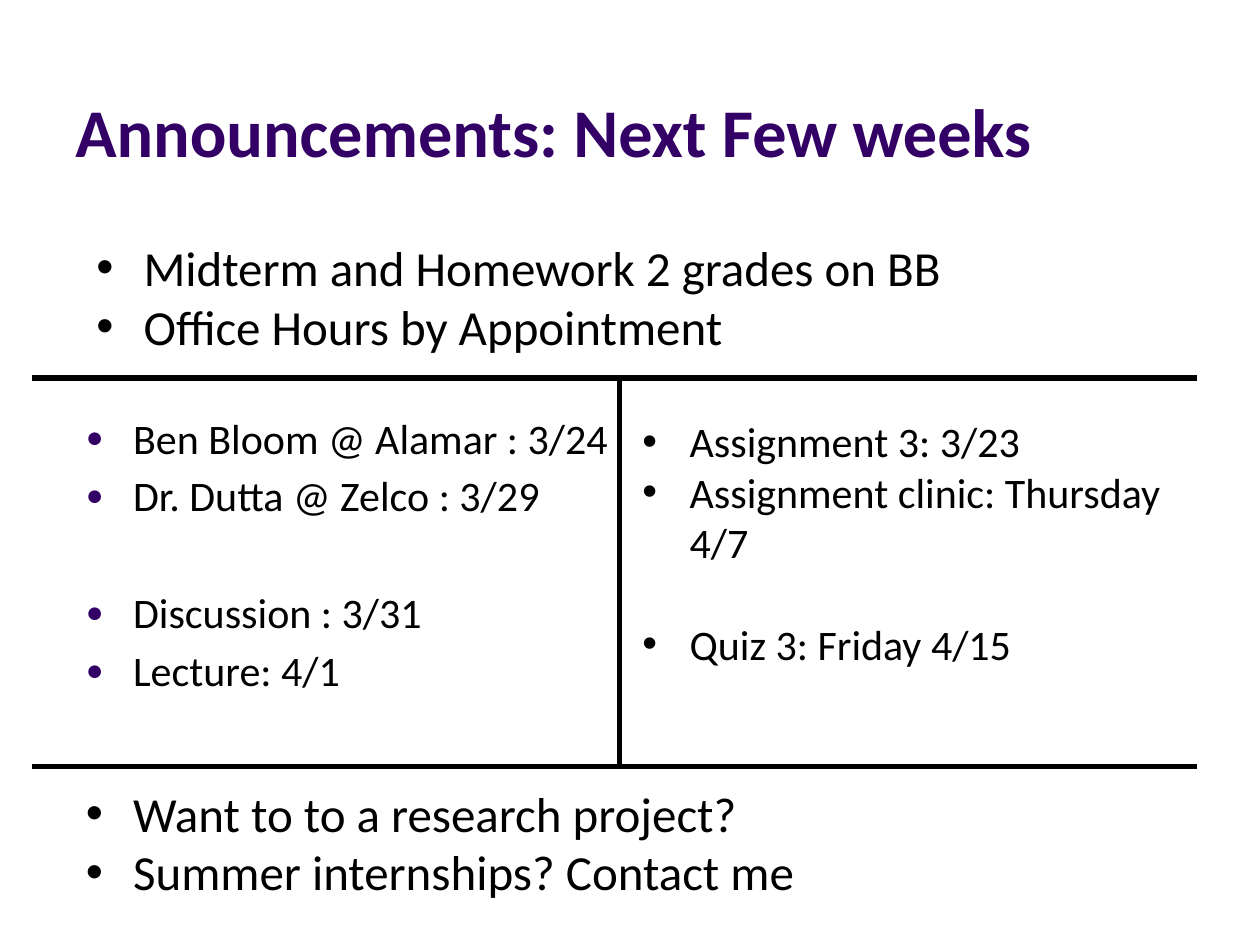
import dataclasses

import lxml.etree
import pptx
import pptx.dml.color
import pptx.enum.shapes
import pptx.enum.text
import pptx.oxml.ns
import pptx.util

UNIT = pptx.util.Inches(1 / 12)  # grid of 120 columns by 90 rows


@dataclasses.dataclass(frozen=True)
class Theme:
    face: str = "Calibri"
    ink: str = "000000"
    accent: str = "330066"
    title: int = 39
    lead: int = 28
    body: int = 24
    rule: int = 3
    indent: float = 0.375


THEME = Theme()
ROUND = {"char": "•"}
DISC = {"char": "●", "size": 70, "color": THEME.accent}


def grid(*cells):
    return [round(cell * UNIT) for cell in cells]


def tint(code):
    return pptx.dml.color.RGBColor.from_string(code)


def apply(target, values):
    for name, value in values.items():
        setattr(target, name, value)


def add_node(parent, tag, **values):
    node = lxml.etree.SubElement(parent, pptx.oxml.ns.qn(tag))
    for name, value in values.items():
        node.set(name, str(value))
    return node


def add_mark(para, char, size=None, color=None):
    """Give a paragraph a bullet with a hanging indent."""
    props = para._p.get_or_add_pPr()
    hang = pptx.util.Inches(THEME.indent)
    props.set("marL", str(hang))
    props.set("indent", str(-hang))
    if color:
        add_node(add_node(props, "a:buClr"), "a:srgbClr", val=color)
    if size:
        add_node(props, "a:buSzPct", val=size * 1000)
    add_node(props, "a:buFont", typeface="Arial")
    add_node(props, "a:buChar", char=char)


def add_text(slide, cells, lines, size, mark=None, gaps=(), font=None, **frame):
    """Write one paragraph per line; gaps are the points before each later line."""
    box = slide.shapes.add_textbox(*grid(*cells)).text_frame
    apply(box, {"word_wrap": True, **frame})
    look = {"name": THEME.face, "size": pptx.util.Pt(size), **(font or {})}
    for index, line in enumerate(lines):
        para = box.add_paragraph() if index else box.paragraphs[0]
        if mark:
            add_mark(para, **mark)
        if index and gaps:
            para.space_before = pptx.util.Pt(gaps[index - 1])
        run = para.add_run()
        run.text = line
        apply(run.font, look)
        run.font.color.rgb = tint(THEME.accent if size == THEME.title else THEME.ink)


def add_rule(slide, *ends):
    kind = pptx.enum.shapes.MSO_CONNECTOR.STRAIGHT
    rule = slide.shapes.add_connector(kind, *grid(*ends))
    rule.line.width = pptx.util.Pt(THEME.rule)
    rule.line.color.rgb = tint(THEME.ink)
    add_node(rule._element.spPr, "a:effectLst")


def main():
    deck = pptx.Presentation()
    apply(deck, dict(zip(("slide_width", "slide_height"), grid(120, 90))))
    slide = deck.slides.add_slide(deck.slide_layouts[6])

    add_text(slide, (6, 1.5, 108, 15.4), ["Announcements: Next Few weeks"],
             THEME.title, font={"bold": True},
             vertical_anchor=pptx.enum.text.MSO_ANCHOR.BOTTOM)
    add_text(slide, (7, 33, 53, 47.4),
             ["Ben Bloom @ Alamar : 3/24", "Dr. Dutta @ Zelco : 3/29",
              "Discussion : 3/31", "Lecture: 4/1"],
             THEME.body, DISC, gaps=(4.3, 37.9, 4.3),
             margin_top=pptx.util.Inches(0.52))
    add_text(slide, (60, 39, 57.8, 30.2),
             ["Assignment 3: 3/23", "Assignment clinic: Thursday 4/7",
              "Quiz 3: Friday 4/15"],
             THEME.body, ROUND, gaps=(0, 29.3))
    add_text(slide, (8, 22, 83.8, 12.5),
             ["Midterm and Homework 2 grades on BB", "Office Hours by Appointment"],
             THEME.lead, ROUND, word_wrap=False)

    top, base, left, right, middle = 36, 73, 3, 114, 59
    add_rule(slide, left, top, right, top)
    add_rule(slide, middle, base, middle, top)
    add_rule(slide, left, base, right, base)

    add_text(slide, (7, 74, 70.4, 12.5),
             ["Want to to a research project?", "Summer internships? Contact me"],
             THEME.lead, ROUND, word_wrap=False)
    deck.save("out.pptx")


if __name__ == "__main__":
    main()
